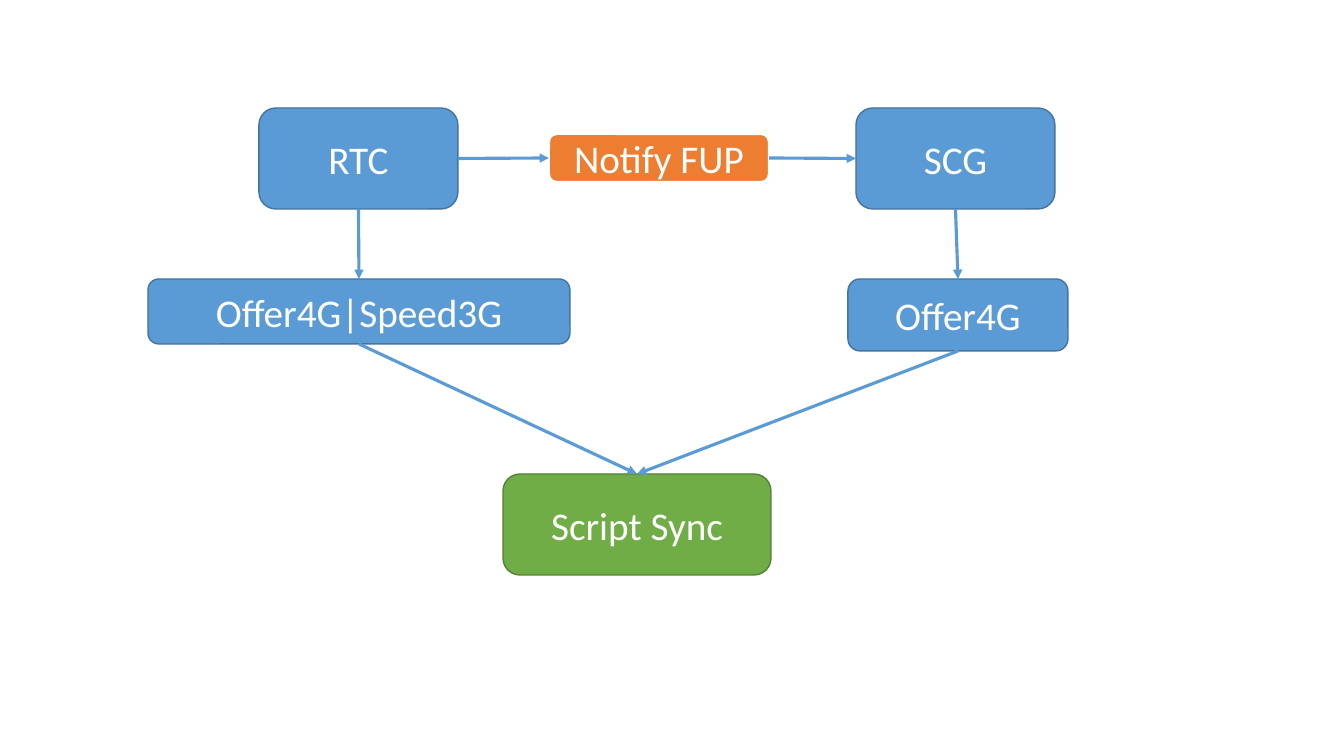
from dataclasses import dataclass
from enum import IntEnum

from lxml.etree import SubElement
from pptx import Presentation
from pptx.dml.color import RGBColor
from pptx.enum.shapes import MSO_CONNECTOR as Connector, MSO_SHAPE as Shape
from pptx.enum.text import MSO_ANCHOR as Anchor, PP_ALIGN as Align
from pptx.oxml.ns import qn
from pptx.shapes.autoshape import Shape as Box
from pptx.slide import Slide
from pptx.util import Emu, Pt

EMU_PER_PIXEL = 914400 / 100.8


def px(pixels: int) -> Emu:
    return Emu(round(pixels * EMU_PER_PIXEL))


@dataclass(frozen=True)
class Style:
    fill: RGBColor
    outline: RGBColor
    outline_width: float = 1


@dataclass(frozen=True)
class Theme:
    system: Style = Style(RGBColor(0x5B, 0x9B, 0xD5), RGBColor(0x43, 0x73, 0x9E))
    message: Style = Style(RGBColor(0xED, 0x7D, 0x31), RGBColor(0xFF, 0xFF, 0xFF), 1.5)
    script: Style = Style(RGBColor(0x70, 0xAD, 0x47), RGBColor(0x53, 0x80, 0x35))
    arrow: RGBColor = RGBColor(0x5B, 0x9B, 0xD5)
    arrow_width: float = 2.25
    text: RGBColor = RGBColor(0xFF, 0xFF, 0xFF)
    font: str = "Calibri"
    text_size: int = 28


@dataclass(frozen=True)
class Step:
    label: str
    left: int
    top: int
    width: int
    height: int
    style: Style


class Side(IntEnum):
    TOP = 0
    LEFT = 1
    BOTTOM = 2
    RIGHT = 3


@dataclass(frozen=True)
class Flow:
    source: Step
    source_side: Side
    target: Step
    target_side: Side


THEME = Theme()
SYSTEM_TOP, OFFER_TOP = 108, 279
SYSTEM_WIDTH, SYSTEM_HEIGHT = 199, 101

RTC = Step("RTC", 259, SYSTEM_TOP, SYSTEM_WIDTH, SYSTEM_HEIGHT, THEME.system)
SCG = Step("SCG", 856, SYSTEM_TOP, SYSTEM_WIDTH, SYSTEM_HEIGHT, THEME.system)
SCRIPT_SYNC = Step("Script Sync", 503, 474, 268, SYSTEM_HEIGHT, THEME.script)
NOTIFY = Step("Notify FUP", 549, 134, 220, 48, THEME.message)
RTC_OFFER = Step("Offer4G|Speed3G", 148, OFFER_TOP, 422, 65, THEME.system)
SCG_OFFER = Step("Offer4G", 848, OFFER_TOP, 220, 72, THEME.system)

STEPS = (RTC, SCG, SCRIPT_SYNC, NOTIFY, RTC_OFFER, SCG_OFFER)
FLOWS = (
    Flow(RTC, Side.RIGHT, NOTIFY, Side.LEFT),
    Flow(NOTIFY, Side.RIGHT, SCG, Side.LEFT),
    Flow(RTC, Side.BOTTOM, RTC_OFFER, Side.TOP),
    Flow(RTC_OFFER, Side.BOTTOM, SCRIPT_SYNC, Side.TOP),
    Flow(SCG, Side.BOTTOM, SCG_OFFER, Side.TOP),
    Flow(SCG_OFFER, Side.BOTTOM, SCRIPT_SYNC, Side.TOP),
)


def draw_step(slide: Slide, step: Step) -> Box:
    box = slide.shapes.add_shape(
        Shape.ROUNDED_RECTANGLE,
        px(step.left), px(step.top), px(step.width), px(step.height),
    )
    box.shadow.inherit = False
    box.fill.solid()
    box.fill.fore_color.rgb = step.style.fill
    box.line.color.rgb = step.style.outline
    box.line.width = Pt(step.style.outline_width)
    box.text_frame.word_wrap = True
    box.text_frame.vertical_anchor = Anchor.MIDDLE
    label = box.text_frame.paragraphs[0]
    label.text = step.label
    label.alignment = Align.CENTER
    label.font.name = THEME.font
    label.font.size = Pt(THEME.text_size)
    label.font.color.rgb = THEME.text
    return box


def draw_flow(slide: Slide, flow: Flow, boxes: dict[Step, Box]) -> None:
    arrow = slide.shapes.add_connector(Connector.STRAIGHT, 0, 0, 0, 0)
    arrow.begin_connect(boxes[flow.source], flow.source_side.value)
    arrow.end_connect(boxes[flow.target], flow.target_side.value)
    arrow.line.color.rgb = THEME.arrow
    arrow.line.width = Pt(THEME.arrow_width)
    SubElement(arrow.line._get_or_add_ln(), qn("a:tailEnd"), type="triangle")
    SubElement(arrow._element.spPr, qn("a:effectLst"))


def main() -> None:
    deck = Presentation()
    deck.slide_width, deck.slide_height = px(1344), px(756)
    slide = deck.slides.add_slide(deck.slide_layouts[6])
    boxes = {step: draw_step(slide, step) for step in STEPS}
    for flow in FLOWS:
        draw_flow(slide, flow, boxes)
    deck.save("out.pptx")


main()
